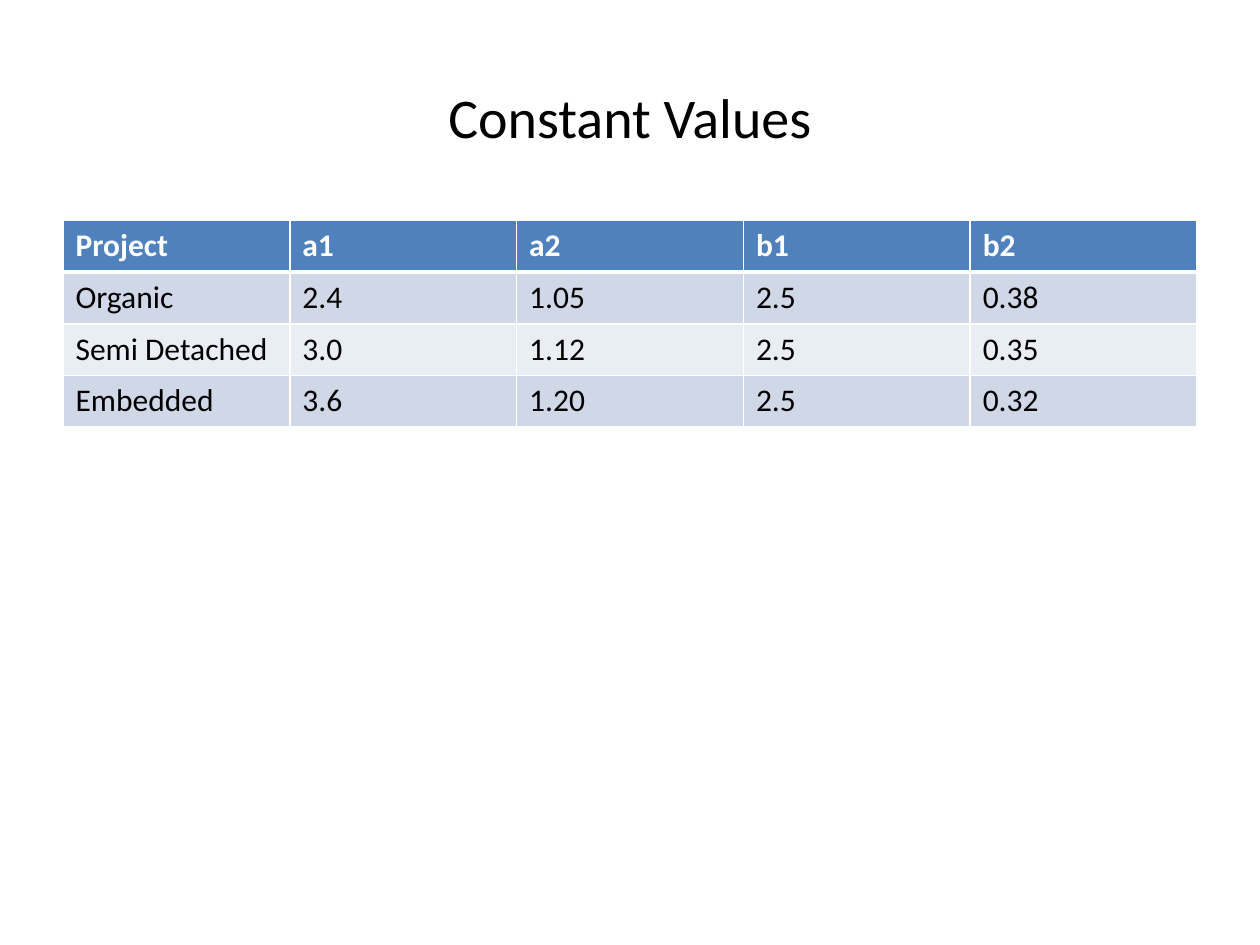
from pptx import Presentation
from pptx.dml.color import RGBColor
from pptx.enum.text import MSO_ANCHOR, PP_ALIGN
from pptx.oxml.ns import qn
from pptx.util import Inches, Pt
from lxml.etree import SubElement

TITLE = "Constant Values"
ROWS = [
    ("Project", "a1", "a2", "b1", "b2"),
    ("Organic", "2.4", "1.05", "2.5", "0.38"),
    ("Semi Detached", "3.0", "1.12", "2.5", "0.35"),
    ("Embedded", "3.6", "1.20", "2.5", "0.32"),
]
COLORS = {"header": "4F81BD", "odd": "D0D8E8", "even": "E9EDF4",
          "light": "FFFFFF", "dark": "000000"}
FONT = "Calibri"
WIDTH, HEIGHT, MARGIN = 10, 7.5, 0.5
TITLE_TOP, TITLE_HEIGHT = 0.3, 1.25
TABLE_TOP, ROW_HEIGHT = 1.75, 0.41
THIN, THICK = 1, 3


def write(frame, text, size, color="dark", bold=False, align=PP_ALIGN.LEFT):
    """Put one formatted line of text in a text frame."""
    para = frame.paragraphs[0]
    para.alignment = align
    span = para.add_run()
    span.text = text
    span.font.name = FONT
    span.font.size = Pt(size)
    span.font.bold = bold
    span.font.color.rgb = RGBColor.from_string(COLORS[color])


def set_borders(cell, **widths):
    """Draw light cell borders, given as side=points in schema order."""
    properties = cell._tc.get_or_add_tcPr()
    for index, (side, points) in enumerate(widths.items()):
        line = properties.makeelement(qn(f"a:ln{side}"), {"w": str(Pt(points))})
        fill = SubElement(line, qn("a:solidFill"))
        SubElement(fill, qn("a:srgbClr"), val=COLORS["light"])
        properties.insert(index, line)


def add_title(page):
    """Add the centred heading."""
    box = page.shapes.add_textbox(Inches(MARGIN), Inches(TITLE_TOP),
                                  Inches(WIDTH - 2 * MARGIN), Inches(TITLE_HEIGHT))
    box.text_frame.word_wrap = True
    box.text_frame.vertical_anchor = MSO_ANCHOR.MIDDLE
    write(box.text_frame, TITLE, 32, align=PP_ALIGN.CENTER)


def add_values(page):
    """Add the table of constants with a header and banded rows."""
    table = page.shapes.add_table(
        len(ROWS), len(ROWS[0]), Inches(MARGIN), Inches(TABLE_TOP),
        Inches(WIDTH - 2 * MARGIN), Inches(ROW_HEIGHT * len(ROWS))).table
    for r, row in enumerate(ROWS):
        header = r == 0
        band = "header" if header else ("odd" if r % 2 else "even")
        for c, text in enumerate(row):
            cell = table.cell(r, c)
            cell.fill.solid()
            cell.fill.fore_color.rgb = RGBColor.from_string(COLORS[band])
            set_borders(cell, L=THIN, R=THIN, T=THICK if r == 1 else THIN,
                        B=THICK if header else THIN)
            write(cell.text_frame, text, 18,
                  color="light" if header else "dark", bold=header)


deck = Presentation()
deck.slide_width, deck.slide_height = Inches(WIDTH), Inches(HEIGHT)
page = deck.slides.add_slide(deck.slide_layouts[6])
add_title(page)
add_values(page)
deck.save("out.pptx")
